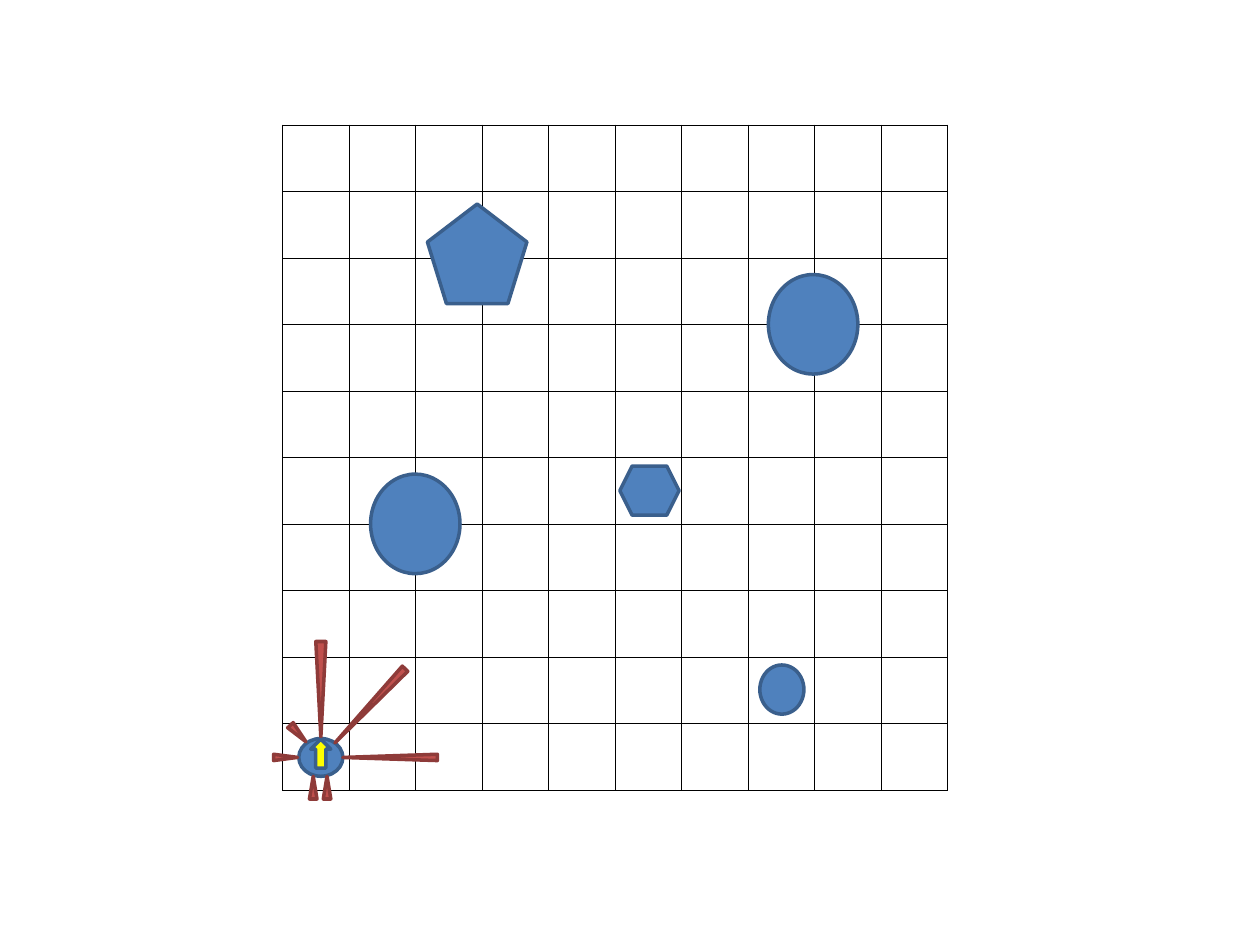
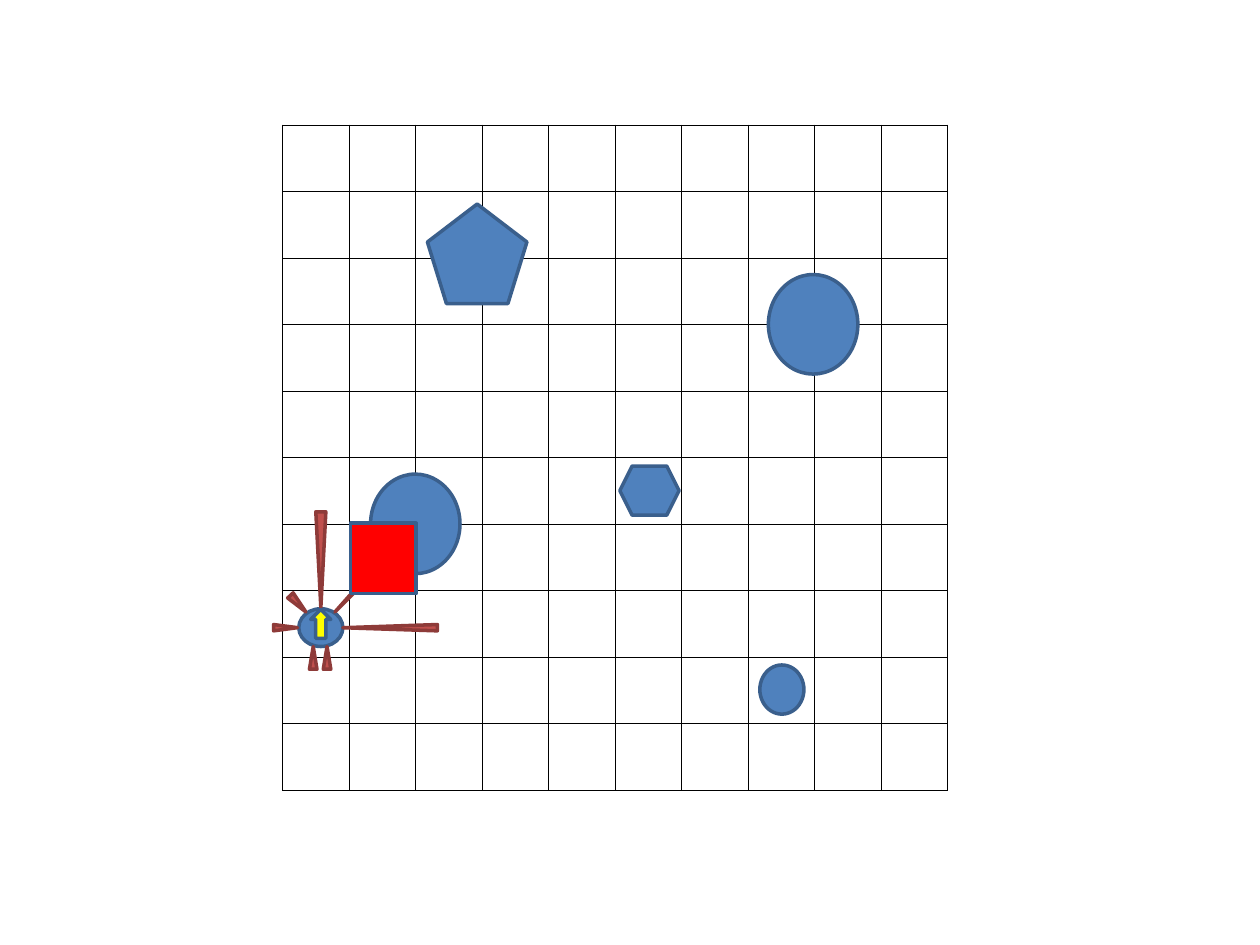
import pptx
import pptx.dml.color
import pptx.enum.shapes
import pptx.oxml
import pptx.oxml.ns
import pptx.util

Inches, Pt = pptx.util.Inches, pptx.util.Pt
Shape = pptx.enum.shapes.MSO_SHAPE

COLORS = {
    "grid": "000000",
    "obstacle": "4F81BD",
    "obstacle_line": "3A5F8C",
    "beam": "C0504D",
    "beam_line": "8E3B39",
    "heading": "FFFF00",
    "hit": "FF0000",
}

GRID_LEFT, GRID_TOP, GRID_SIZE, CELLS = 2.24, 0.99, 5.28, 10
CELL = GRID_SIZE / CELLS

# Shape, centre in columns and rows, width and height in inches
OBSTACLES = [
    (Shape.OVAL, 2, 6, 0.71, 0.79),
    (Shape.OVAL, 7.98, 3, 0.71, 0.79),
    (Shape.REGULAR_PENTAGON, 2.93, 1.94, 0.79, 0.79),
    (Shape.OVAL, 7.51, 8.49, 0.35, 0.39),
    (Shape.HEXAGON, 5.52, 5.5, 0.47, 0.39),
]

# Offset of the beam's centre from the robot, width, length, rotation
BEAMS = [
    (-0.28, 0, 0.05, 0.19, 90),
    (-0.18, -0.19, 0.06, 0.18, 136.8),
    (0, -0.54, 0.08, 0.76, 180),
    (0.55, 0, 0.05, 0.75, 270),
    (-0.06, 0.24, 0.06, 0.18, 0),
    (0.05, 0.24, 0.06, 0.18, 0),
]

ROBOT_COLUMN = 0.58
# Robot's row, its diagonal beam, and the centre of the cell that was hit
STEPS = [
    (9.51, (0.39, -0.41, 0.06, 0.81, 223.4), None),
    (7.56, (0.4, -0.43, 0.05, 0.84, 223.4), (1.52, 6.52)),
]


def add_centred(shapes, kind, x, y, width, height, fill, line="obstacle_line"):
    """Draw a preset shape centred on (x, y), in inches."""
    shape = shapes.add_shape(kind, Inches(x - width / 2), Inches(y - height / 2),
                             Inches(width), Inches(height))
    shape.shadow.inherit = False
    shape.fill.solid()
    shape.fill.fore_color.rgb = pptx.dml.color.RGBColor.from_string(COLORS[fill])
    shape.line.color.rgb = pptx.dml.color.RGBColor.from_string(COLORS[line])
    shape.line.width = Pt(2)
    return shape


def grid_point(column, row):
    return GRID_LEFT + column * CELL, GRID_TOP + row * CELL


deck = pptx.Presentation()
deck.slide_width, deck.slide_height = Inches(10), Inches(7.5)
blank_layout = deck.slide_layouts[6]

for robot_row, diagonal_beam, hit_cell in STEPS:
    page = deck.slides.add_slide(blank_layout)

    grid = page.shapes.add_table(CELLS, CELLS, Inches(GRID_LEFT), Inches(GRID_TOP),
                                 Inches(GRID_SIZE), Inches(GRID_SIZE)).table
    grid.first_row = grid.horz_banding = False
    for track in grid.columns:
        track.width = Inches(CELL)
    for track in grid.rows:
        track.height = Inches(CELL)
    for cell in grid.iter_cells():
        properties = cell._tc.get_or_add_tcPr()
        for side in ("lnL", "lnR", "lnT", "lnB"):
            properties.append(pptx.oxml.parse_xml(
                f'<a:{side} {pptx.oxml.ns.nsdecls("a")} w="{Pt(0.28)}"><a:solidFill>'
                f'<a:srgbClr val="{COLORS["grid"]}"/></a:solidFill></a:{side}>'))
        cell.fill.background()

    for kind, column, row, width, height in OBSTACLES:
        add_centred(page.shapes, kind, *grid_point(column, row), width, height, "obstacle")

    robot_x, robot_y = grid_point(ROBOT_COLUMN, robot_row)
    robot = page.shapes.add_group_shape()
    add_centred(robot.shapes, Shape.OVAL, robot_x, robot_y, 0.35, 0.3, "obstacle")
    for dx, dy, width, length, rotation in BEAMS[:3] + [diagonal_beam] + BEAMS[3:]:
        beam = add_centred(robot.shapes, Shape.ISOSCELES_TRIANGLE, robot_x + dx,
                           robot_y + dy, width, length, "beam", "beam_line")
        beam.rotation = rotation

    if hit_cell:
        add_centred(page.shapes, Shape.RECTANGLE, *grid_point(*hit_cell), 0.52, 0.56, "hit")
    add_centred(page.shapes, Shape.UP_ARROW, robot_x, robot_y - 0.03, 0.16, 0.23, "heading")

deck.save("out.pptx")
